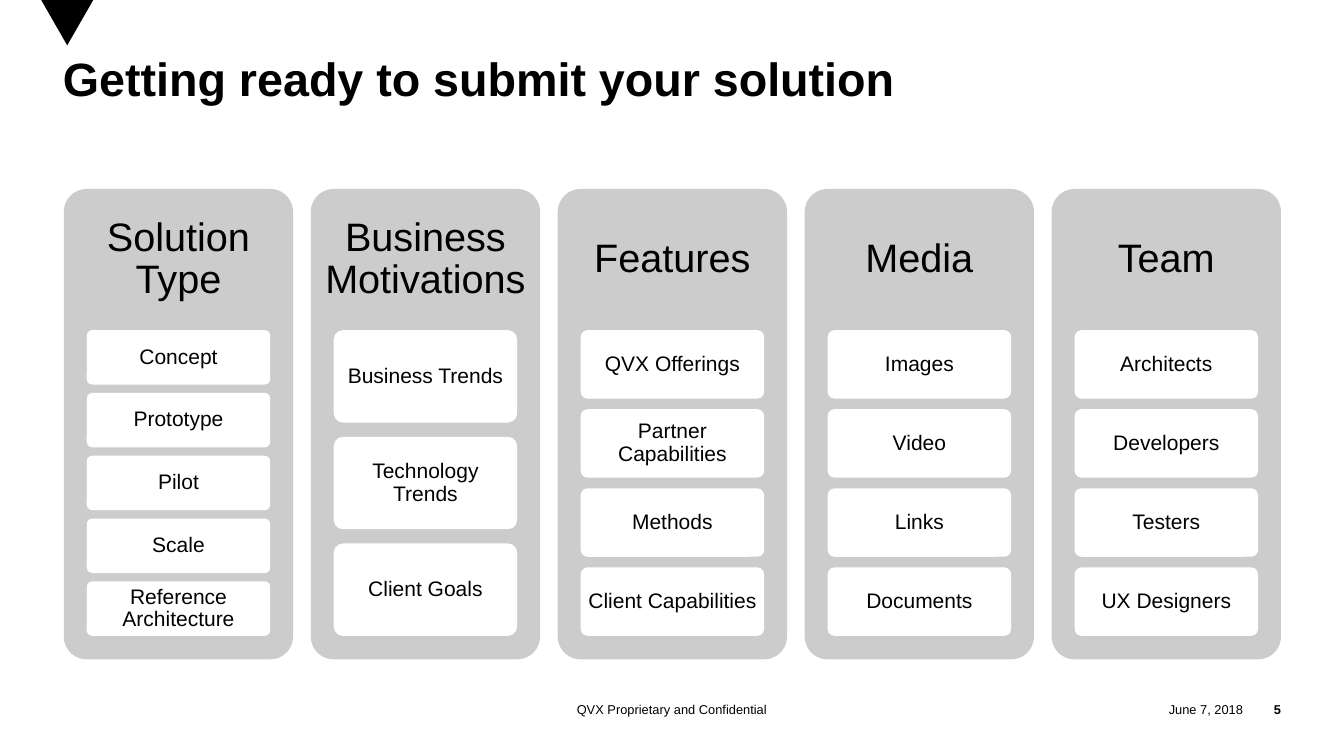
from pptx import Presentation
from pptx.dml.color import RGBColor
from pptx.enum import shapes, text
from pptx.util import Inches, Pt

WIDE, HIGH = 16, 9
TITLE = "Getting ready to submit your solution"
GROUPS = {
    "Solution Type": ["Concept", "Prototype", "Pilot", "Scale", "Reference Architecture"],
    "Business Motivations": ["Business Trends", "Technology Trends", "Client Goals"],
    "Features": ["QVX Offerings", "Partner Capabilities", "Methods", "Client Capabilities"],
    "Media": ["Images", "Video", "Links", "Documents"],
    "Team": ["Architects", "Developers", "Testers", "UX Designers"],
}
FOOTER = [
    ("June 7, 2018", 13.01, 1.79, "r", False),
    ("5", 14.8, 0.45, "r", True),
    ("QVX Proprietary and Confidential", 5.25, 5.5, "c", False),
]
BLACK, GREY, WHITE = "000000", "CCCCCC", "FFFFFF"
ALIGN = {"l": text.PP_ALIGN.LEFT, "c": text.PP_ALIGN.CENTER, "r": text.PP_ALIGN.RIGHT}
KIND = shapes.MSO_SHAPE

LEFT, TOP, WIDTH, HEIGHT = 0.76, HIGH / 4, 2.73, 5.6
PITCH = 2.94
HEAD, STACK = 0.3 * HEIGHT, 0.65 * HEIGHT
CARD = 0.8 * WIDTH
RATIO = 0.154


def color(part, code):
    """Apply a hex colour to a fill or a font."""
    if hasattr(part, "solid"):
        part.solid()
        part.fore_color.rgb = RGBColor.from_string(code)
    else:
        part.color.rgb = RGBColor.from_string(code)


def write(shape, words, size, align="c", bold=False, pad=(0, 0), space=None, mid=True):
    """Fill a shape with one formatted paragraph."""
    frame = shape.text_frame
    frame.text = words
    frame.word_wrap = True
    frame.margin_left = frame.margin_right = Inches(pad[0])
    frame.margin_top = frame.margin_bottom = Inches(pad[1])
    frame.vertical_anchor = text.MSO_ANCHOR.MIDDLE if mid else text.MSO_ANCHOR.TOP
    para = frame.paragraphs[0]
    para.alignment = ALIGN[align]
    if space:
        para.line_spacing = space
    font = para.runs[0].font
    font.name, font.size, font.bold = "Arial", Pt(size), bold
    color(font, BLACK)


def block(slide, kind, box, fill):
    """Add a filled shape with no line or shadow."""
    shape = slide.shapes.add_shape(kind, *map(Inches, box))
    shape.shadow.inherit = False
    color(shape.fill, fill)
    shape.line.fill.background()
    if kind == KIND.ROUNDED_RECTANGLE:
        shape.adjustments[0] = 0.1
    return shape


def label(slide, box, *args, **style):
    """Add a text box."""
    write(slide.shapes.add_textbox(*map(Inches, box)), *args, **style)


def column(slide, left, name, items):
    """Draw a panel with its heading and an even stack of cards."""
    block(slide, KIND.ROUNDED_RECTANGLE, (left, TOP, WIDTH, HEIGHT), GREY)
    label(slide, (left, TOP, WIDTH, HEAD), name, 34, pad=(0.14, 0.14), space=0.9)
    tall = STACK / (len(items) + (len(items) - 1) * RATIO)
    for row, item in enumerate(items):
        top = TOP + HEAD + row * tall * (1 + RATIO)
        box = (left + (WIDTH - CARD) / 2, top, CARD, tall)
        card = block(slide, KIND.ROUNDED_RECTANGLE, box, WHITE)
        write(card, item, 18, pad=(0.05, 0.04), space=0.9)


def main():
    """Build the slide."""
    deck = Presentation()
    deck.slide_width, deck.slide_height = Inches(WIDE), Inches(HIGH)
    slide = deck.slides.add_slide(deck.slide_layouts[6])
    block(slide, KIND.FLOWCHART_MERGE, (0.49, 0, 0.62, 0.54), BLACK)
    for words, left, width, align, bold in FOOTER:
        label(slide, (left, 8.29, width, 0.3), words, 11, align, bold)
    label(slide, (0.75, 0.7, 14.5, 1.55), TITLE, 40, "l", True, space=0.85, mid=False)
    for spot, (name, items) in enumerate(GROUPS.items()):
        column(slide, LEFT + spot * PITCH, name, items)
    deck.save("out.pptx")


if __name__ == "__main__":
    main()
